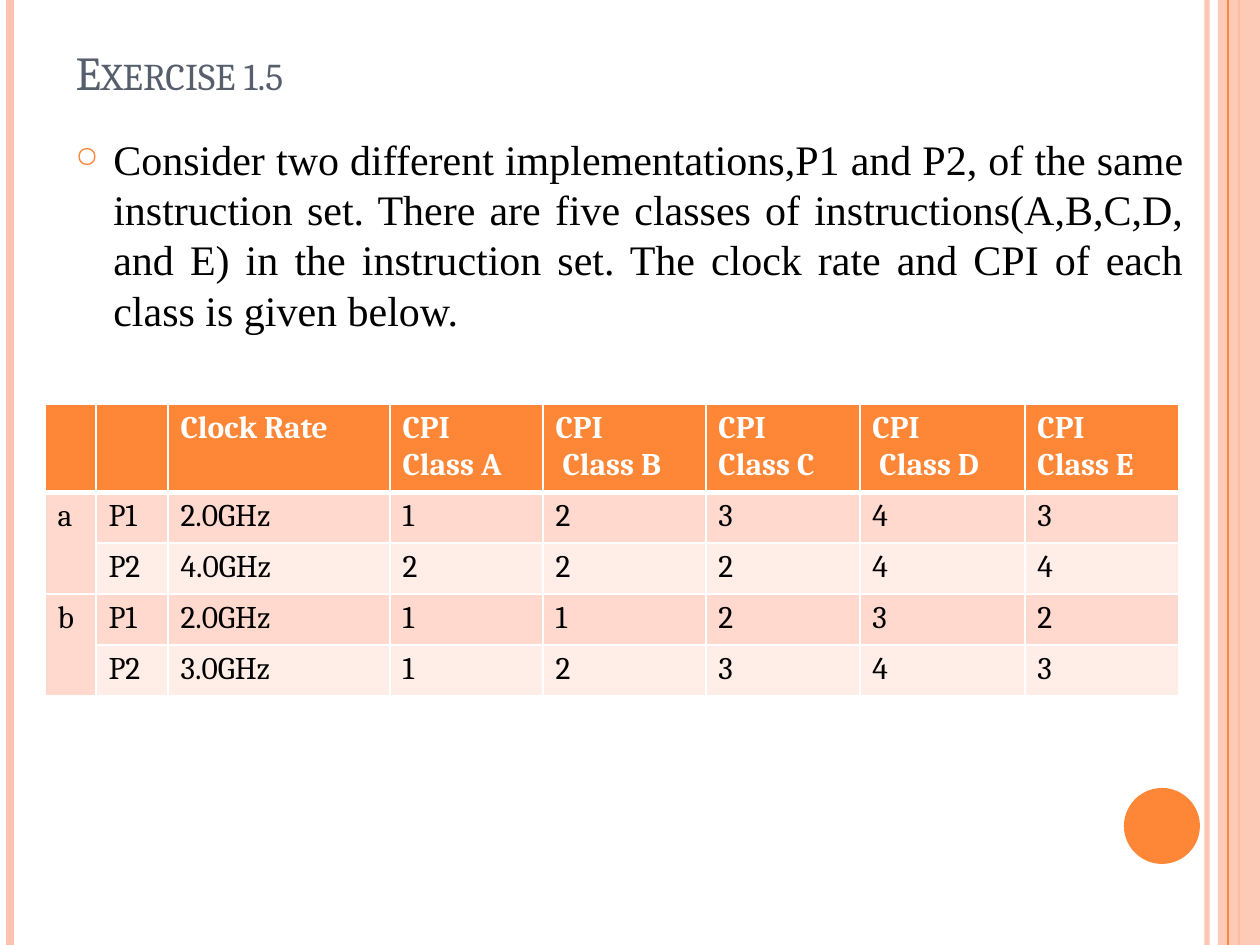
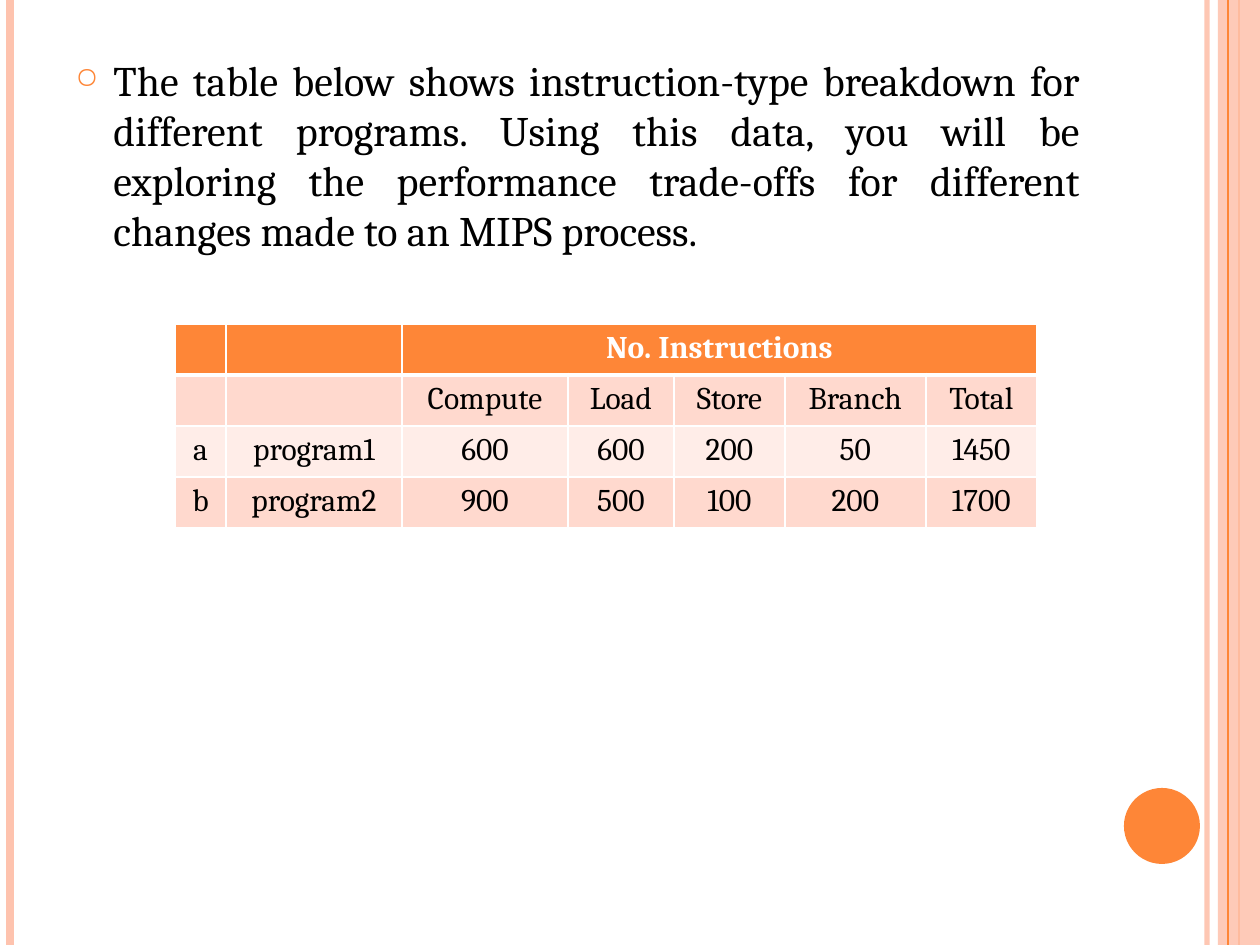
"""Build two exercise slides on CPI classes and instruction counts."""
from dataclasses import dataclass

from lxml import etree
from pptx import Presentation, util as u
from pptx.dml.color import RGBColor
from pptx.enum import shapes, text
from pptx.oxml.ns import qn


@dataclass(frozen=True)
class Theme:
    accent: str = "FE8637"
    band: str = "FEC3AE"
    heading: str = "575F6D"
    ink: str = "000000"
    paper: str = "FFFFFF"
    row_fills: tuple = ("FFD9CE", "FFEDE8")
    font: str = "Cambria"
    title_size: int = 27
    body_size: int = 24
    body_leading: float = 28.75
    table_size: int = 18


THEME = Theme()
EMU_PER_PX = 914400 / 126
WIDTH, HEIGHT = 1260, 945
HEADER_RULE, CELL_RULE = 3, 1
BULLET_INDENT = 38
TITLE_BOX = (63, 38, 1029, 68)
PAGE_CIRCLE = (1124, 788, 76, 76)
SIDE_BAND = (1218, 0, 42, HEIGHT)
LINES_UNDER_BAND = [
    (1207, THEME.band, 3, 93),
    (10, THEME.band, 4.5, 100),
    (1239, THEME.accent, 1.5, 100),
]
LINE_OVER_BAND = (1228, THEME.accent, 0.75, 100)

SLIDES = [
    {
        "title": "Exercise 1.5",
        "body": "Consider two different implementations,P1 and P2, of the same "
                "instruction set. There are five classes of instructions(A,B,C,D, "
                "and E) in the instruction set. The clock rate and CPI of each "
                "class is given below.",
        "body_font": "Times New Roman",
        "body_box": (63, 127, 1133, 765),
        "table": {
            "corner": (45, 404),
            "columns": [51, 72, 222, 153, 163, 154, 165, 154],
            "heights": [83, 51, 51, 51, 51],
            "align": text.PP_ALIGN.LEFT,
            "merges": [((1, 0), (2, 0)), ((3, 0), (4, 0))],
            "nudged": {"Class B": 7, "Class D": 7},
            "rows": [
                ["", "", "Clock Rate", "CPI\nClass A", "CPI\nClass B",
                 "CPI\nClass C", "CPI\nClass D", "CPI\nClass E"],
                ["a", "P1", "2.0GHz", "1", "2", "3", "4", "3"],
                ["", "P2", "4.0GHz", "2", "2", "2", "4", "4"],
                ["b", "P1", "2.0GHz", "1", "1", "2", "3", "2"],
                ["", "P2", "3.0GHz", "1", "2", "3", "4", "3"],
            ],
        },
    },
    {
        "title": None,
        "body": "The table below shows instruction-type breakdown for different "
                "programs. Using this data, you will be exploring the performance "
                "trade-offs for different changes made to an MIPS process.",
        "body_font": THEME.font,
        "body_box": (63, 48, 1029, 844),
        "table": {
            "corner": (175, 324),
            "columns": [51, 176, 166, 106, 111, 141, 111],
            "heights": [51, 51, 51, 51],
            "align": text.PP_ALIGN.CENTER,
            "merges": [((0, 2), (0, 6))],
            "nudged": {},
            "rows": [
                ["", "", "No. Instructions", "", "", "", ""],
                ["", "", "Compute", "Load", "Store", "Branch", "Total"],
                ["a", "program1", "600", "600", "200", "50", "1450"],
                ["b", "program2", "900", "500", "100", "200", "1700"],
            ],
        },
    },
]


def px(length):
    return u.Emu(round(length * EMU_PER_PX))


def box(lengths):
    return [px(length) for length in lengths]


def set_font(paragraph, name, size, color, bold=False):
    font = paragraph.font
    font.name, font.size, font.bold = name, u.Pt(size), bold
    font.color.rgb = RGBColor.from_string(color)


def set_opacity(element, percent):
    if percent < 100:
        color = next(element.iter(qn("a:srgbClr")))
        etree.SubElement(color, qn("a:alpha"), val=str(percent * 1000))


def add_side_line(slide, x, color, weight, opacity):
    connector = slide.shapes.add_connector(
        shapes.MSO_CONNECTOR.STRAIGHT, *box((x, 0, x, HEIGHT)))
    connector.line.color.rgb = RGBColor.from_string(color)
    connector.line.width = u.Pt(weight)
    properties = connector._element.spPr
    set_opacity(properties, opacity)
    etree.SubElement(properties, qn("a:effectLst"))


def add_plain_shape(slide, kind, place, color, opacity=100):
    shape = slide.shapes.add_shape(kind, *box(place))
    shape.shadow.inherit = False
    shape.fill.solid()
    shape.fill.fore_color.rgb = RGBColor.from_string(color)
    shape.line.fill.background()
    set_opacity(shape._element.spPr, opacity)


def add_frame(slide):
    for line in LINES_UNDER_BAND:
        add_side_line(slide, *line)
    add_plain_shape(slide, shapes.MSO_SHAPE.RECTANGLE, SIDE_BAND, THEME.band, 87)
    add_side_line(slide, *LINE_OVER_BAND)
    add_plain_shape(slide, shapes.MSO_SHAPE.OVAL, PAGE_CIRCLE, THEME.accent)


def format_title(slide, words):
    title = slide.shapes.title
    title.left, title.top, title.width, title.height = box(TITLE_BOX)
    frame = title.text_frame
    frame.text = words
    frame.word_wrap = True
    frame.auto_size = text.MSO_AUTO_SIZE.NONE
    frame.vertical_anchor = text.MSO_ANCHOR.BOTTOM
    paragraph = frame.paragraphs[0]
    paragraph.alignment = text.PP_ALIGN.LEFT
    set_font(paragraph, THEME.font, THEME.title_size, THEME.heading)
    paragraph._p.pPr.find(qn("a:defRPr")).set("cap", "small")


def add_bullet(paragraph):
    properties = paragraph._p.get_or_add_pPr()
    properties.set("marL", str(px(BULLET_INDENT)))
    properties.set("indent", str(px(-BULLET_INDENT)))
    color = etree.SubElement(properties, qn("a:buClr"))
    etree.SubElement(color, qn("a:srgbClr"), val=THEME.accent)
    etree.SubElement(properties, qn("a:buSzPct"), val="70000")
    etree.SubElement(properties, qn("a:buChar"), char="○")


def add_body(slide, words, font_name, place):
    frame = slide.shapes.add_textbox(*box(place)).text_frame
    frame.word_wrap = True
    frame.text = words
    paragraph = frame.paragraphs[0]
    add_bullet(paragraph)
    paragraph.alignment = text.PP_ALIGN.JUSTIFY
    paragraph.line_spacing = u.Pt(THEME.body_leading)
    set_font(paragraph, font_name, THEME.body_size, THEME.ink)


def set_borders(cell, row):
    weights = {
        "a:lnL": CELL_RULE,
        "a:lnR": CELL_RULE,
        "a:lnT": HEADER_RULE if row == 1 else CELL_RULE,
        "a:lnB": HEADER_RULE if row == 0 else CELL_RULE,
    }
    properties = cell._tc.get_or_add_tcPr()
    for tag, weight in weights.items():
        line = etree.SubElement(properties, qn(tag), w=str(u.Pt(weight)))
        fill = etree.SubElement(line, qn("a:solidFill"))
        etree.SubElement(fill, qn("a:srgbClr"), val=THEME.paper)


def format_cell(cell, words, row, align, nudged):
    header = row == 0
    set_borders(cell, row)
    cell.fill.solid()
    color = THEME.accent if header else THEME.row_fills[(row - 1) % 2]
    cell.fill.fore_color.rgb = RGBColor.from_string(color)
    cell.text = words
    for paragraph in cell.text_frame.paragraphs:
        paragraph.alignment = align
        if paragraph.text in nudged:
            paragraph._p.get_or_add_pPr().set("marL", str(px(nudged[paragraph.text])))
        set_font(paragraph, THEME.font, THEME.table_size,
                 THEME.paper if header else THEME.ink, header)


def add_data_table(slide, data):
    rows, columns, heights = data["rows"], data["columns"], data["heights"]
    place = (*data["corner"], sum(columns), sum(heights))
    table = slide.shapes.add_table(len(rows), len(columns), *box(place)).table
    table.horz_banding = False
    for column, width in zip(table.columns, columns):
        column.width = px(width)
    for table_row, height in zip(table.rows, heights):
        table_row.height = px(height)
    for row, values in enumerate(rows):
        for column, words in enumerate(values):
            format_cell(table.cell(row, column), words, row,
                        data["align"], data["nudged"])
    for first, last in data["merges"]:
        table.cell(*first).merge(table.cell(*last))


def main():
    presentation = Presentation()
    presentation.slide_width, presentation.slide_height = px(WIDTH), px(HEIGHT)
    title_only, blank = presentation.slide_layouts[5], presentation.slide_layouts[6]
    for content in SLIDES:
        slide = presentation.slides.add_slide(title_only if content["title"] else blank)
        add_frame(slide)
        if content["title"]:
            format_title(slide, content["title"])
        add_body(slide, content["body"], content["body_font"], content["body_box"])
        add_data_table(slide, content["table"])
    presentation.save("out.pptx")


if __name__ == "__main__":
    main()
